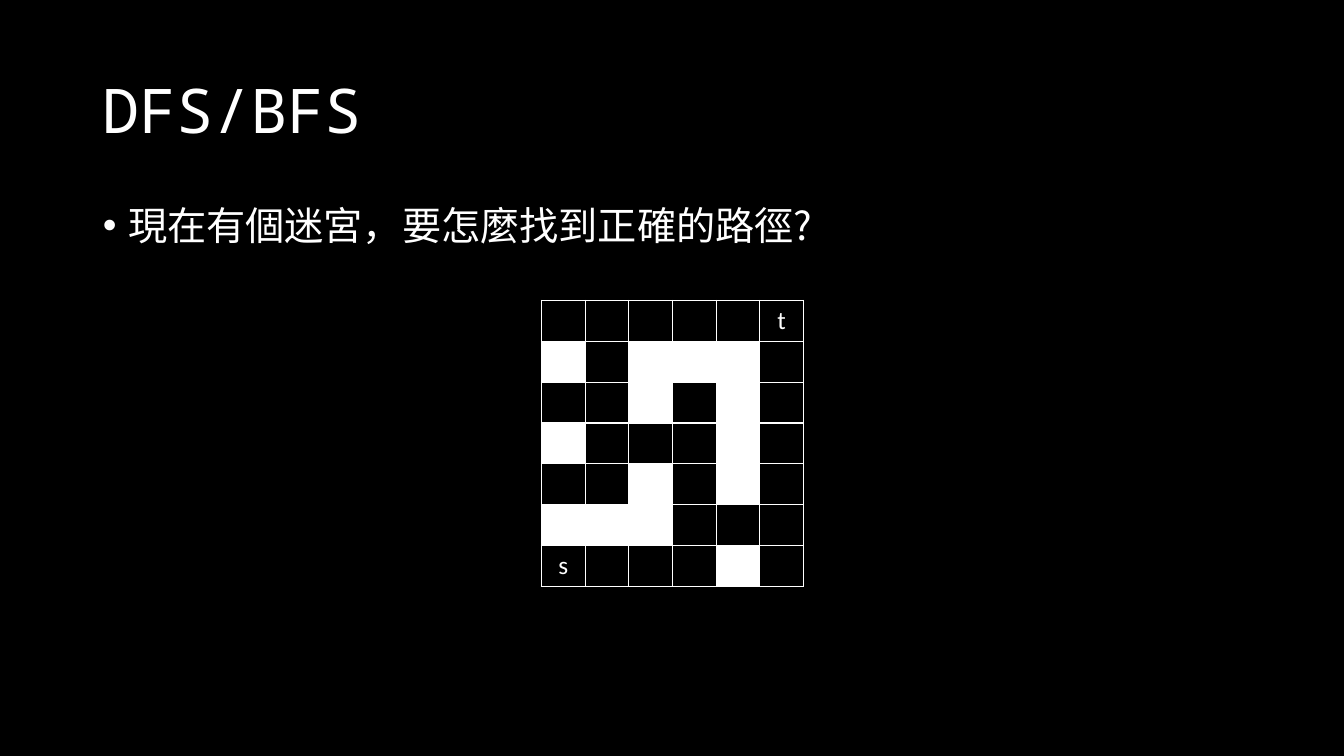
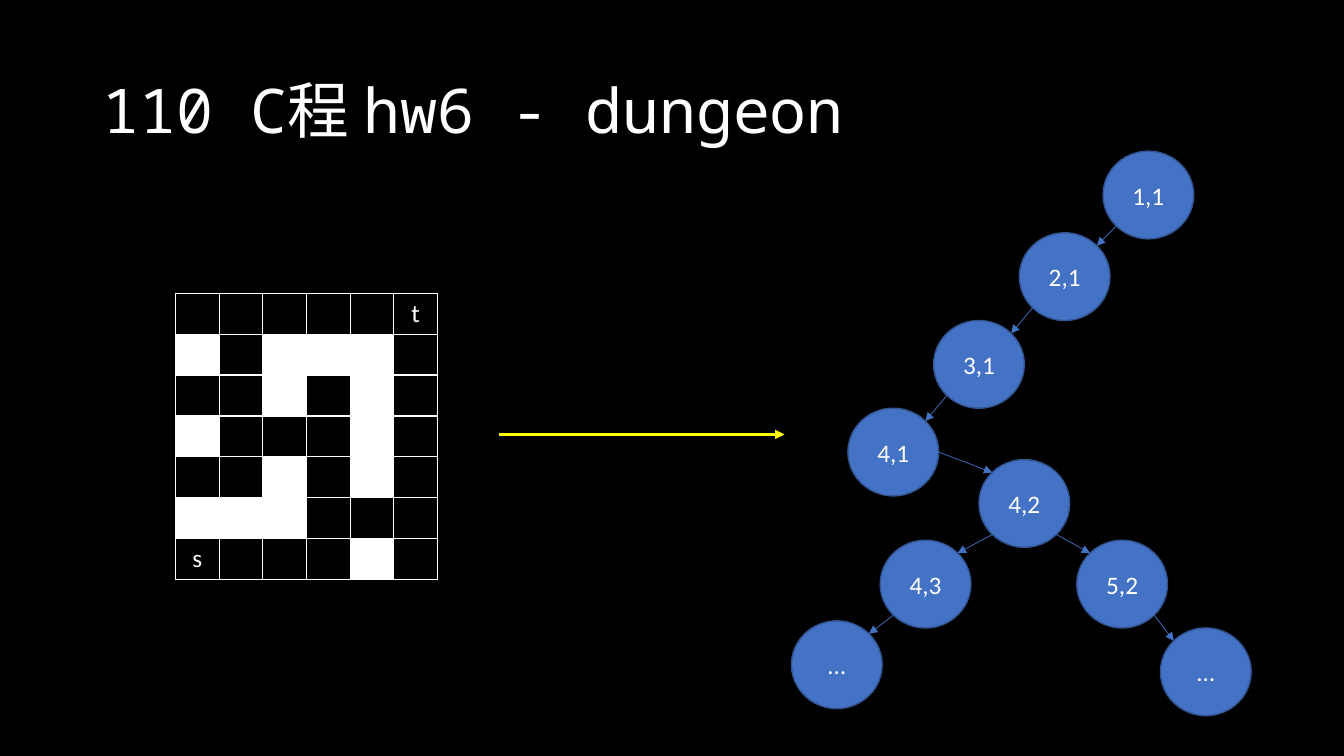
from math import sqrt

from lxml.etree import SubElement
from pptx import Presentation
from pptx.dml.color import RGBColor
from pptx.enum.shapes import MSO_CONNECTOR as Connector, MSO_SHAPE as Shape
from pptx.enum.text import MSO_ANCHOR as Anchor, PP_ALIGN as Align
from pptx.oxml.ns import qn
from pptx.util import Emu, Pt

EMU_PER_PX = 9144
WHITE, BLACK, BLUE, DARK_BLUE, YELLOW = "FFFFFF", "000000", "4472C4", "325491", "FFFF00"
LABEL_FONT, TITLE_FONT, BODY_FONT = "Calibri", "Noto Sans Mono", "Noto Sans CJK SC"
TITLE_AND_CONTENT, TITLE_ONLY = 1, 5

# "#" is a wall, "." an open cell, letters are labels
MAZE = [
    ".....t",
    "#.###.",
    "..#.#.",
    "#...#.",
    "..#.#.",
    "###...",
    "s...#.",
]

NODE_WIDTH, NODE_HEIGHT = 90, 87
NODES = {  # key: (label, left, top)
    "1,1": ("1,1", 1094, 150),
    "2,1": ("2,1", 1011, 231),
    "3,1": ("3,1", 926, 318),
    "4,1": ("4,1", 841, 405),
    "4,2": ("4,2", 971, 456),
    "4,3": ("4,3", 873, 536),
    "5,2": ("5,2", 1068, 536),
    "left rest": ("…", 785, 616),
    "right rest": ("…", 1151, 623),
}

# Directions from the centre of a node to a point on its rim
DIAGONAL = 1 / sqrt(2)
RIGHT = (1, 0)
TOP_LEFT, TOP_RIGHT = (-DIAGONAL, -DIAGONAL), (DIAGONAL, -DIAGONAL)
BOTTOM_LEFT, BOTTOM_RIGHT = (-DIAGONAL, DIAGONAL), (DIAGONAL, DIAGONAL)
EDGES = [
    ("1,1", BOTTOM_LEFT, "2,1", TOP_RIGHT),
    ("2,1", BOTTOM_LEFT, "3,1", TOP_RIGHT),
    ("3,1", BOTTOM_LEFT, "4,1", TOP_RIGHT),
    ("4,1", RIGHT, "4,2", TOP_LEFT),
    ("4,2", BOTTOM_LEFT, "4,3", TOP_RIGHT),
    ("4,2", BOTTOM_RIGHT, "5,2", TOP_LEFT),
    ("4,3", BOTTOM_LEFT, "left rest", TOP_RIGHT),
    ("5,2", BOTTOM_RIGHT, "right rest", TOP_LEFT),
]


def px(length):
    return Emu(round(length * EMU_PER_PX))


def color(value):
    return RGBColor.from_string(value)


def place(shape, left, top, width, height):
    shape.left, shape.top = px(left), px(top)
    shape.width, shape.height = px(width), px(height)


def style_para(para, size, font_name, align=Align.CENTER):
    para.alignment = align
    para.font.size = Pt(size)
    para.font.name = font_name
    para.font.color.rgb = color(WHITE)


def add_page(deck, layout, title):
    page = deck.slides.add_slide(deck.slide_layouts[layout])
    box = page.shapes.title
    place(box, 92, 40, 1150, 145)
    box.text_frame.text = title
    box.text_frame.vertical_anchor = Anchor.MIDDLE
    para = box.text_frame.paragraphs[0]
    para.line_spacing = 0.9
    style_para(para, 44, TITLE_FONT, Align.LEFT)
    return page


def fill_body(page, text):
    """Put one bulleted paragraph into the content placeholder."""
    box = page.placeholders[1]
    place(box, 92, 200, 1150, 476)
    box.text_frame.text = text
    para = box.text_frame.paragraphs[0]
    para.line_spacing = 0.9
    para.space_before = Pt(0)
    properties = para._p.get_or_add_pPr()
    properties.set("marL", str(px(25)))
    properties.set("indent", str(px(-25)))
    SubElement(properties, qn("a:buChar"), char="•")
    style_para(para, 28, BODY_FONT, Align.LEFT)
    east_asian = SubElement(properties.find(qn("a:defRPr")), qn("a:ea"))
    east_asian.set("typeface", BODY_FONT)


def add_cell_borders(cell):
    properties = cell._tc.get_or_add_tcPr()
    for index, side in enumerate(("a:lnL", "a:lnR", "a:lnT", "a:lnB")):
        line = properties.makeelement(qn(side), {"w": str(Pt(1))})
        fill = SubElement(line, qn("a:solidFill"))
        SubElement(fill, qn("a:srgbClr"), val=WHITE)
        properties.insert(index, line)


def add_maze(page, left, top):
    frame = page.shapes.add_table(
        len(MAZE), len(MAZE[0]), px(left), px(top), px(260), px(280))
    table = frame.table
    table.first_row = table.horz_banding = False
    for row, marks in enumerate(MAZE):
        for column, mark in enumerate(marks):
            cell = table.cell(row, column)
            cell.fill.solid()
            cell.fill.fore_color.rgb = color(WHITE if mark == "#" else BLACK)
            add_cell_borders(cell)
            if mark.isalpha():
                cell.text = mark
            style_para(cell.text_frame.paragraphs[0], 18, LABEL_FONT)


def add_arrow(page, start, end, line_color, weight):
    arrow = page.shapes.add_connector(
        Connector.STRAIGHT, *(px(value) for value in (*start, *end)))
    arrow.line.color.rgb = color(line_color)
    arrow.line.width = Pt(weight)
    SubElement(arrow.line._get_or_add_ln(), qn("a:tailEnd"), type="triangle")
    SubElement(arrow._element.spPr, qn("a:effectLst"))


def add_node(page, label, left, top):
    node = page.shapes.add_shape(
        Shape.OVAL, px(left), px(top), px(NODE_WIDTH), px(NODE_HEIGHT))
    node.shadow.inherit = False
    node.fill.solid()
    node.fill.fore_color.rgb = color(BLUE)
    node.line.color.rgb = color(DARK_BLUE)
    node.line.width = Pt(1)
    node.text_frame.text = label
    node.text_frame.vertical_anchor = Anchor.MIDDLE
    style_para(node.text_frame.paragraphs[0], 18, LABEL_FONT)


def rim_point(key, direction):
    _, left, top = NODES[key]
    across, down = direction
    return (left + NODE_WIDTH / 2 * (1 + across),
            top + NODE_HEIGHT / 2 * (1 + down))


def add_search_tree(page):
    for label, left, top in NODES.values():
        add_node(page, label, left, top)
    for parent, exit_side, child, entry_side in EDGES:
        add_arrow(page, rim_point(parent, exit_side),
                  rim_point(child, entry_side), BLUE, 0.5)


def main():
    deck = Presentation()
    deck.slide_width, deck.slide_height = px(1333), px(750)
    backdrop = deck.slide_master.background.fill
    backdrop.solid()
    backdrop.fore_color.rgb = color(BLACK)

    question = add_page(deck, TITLE_AND_CONTENT, "DFS/BFS")
    fill_body(question, "現在有個迷宮，要怎麼找到正確的路徑?")
    add_maze(question, 537, 298)

    dungeon = add_page(deck, TITLE_ONLY, "110 C程 hw6 - dungeon")
    add_maze(dungeon, 174, 291)
    add_arrow(dungeon, (495, 431), (778, 431), YELLOW, 2.25)
    add_search_tree(dungeon)

    deck.save("out.pptx")


if __name__ == "__main__":
    main()
